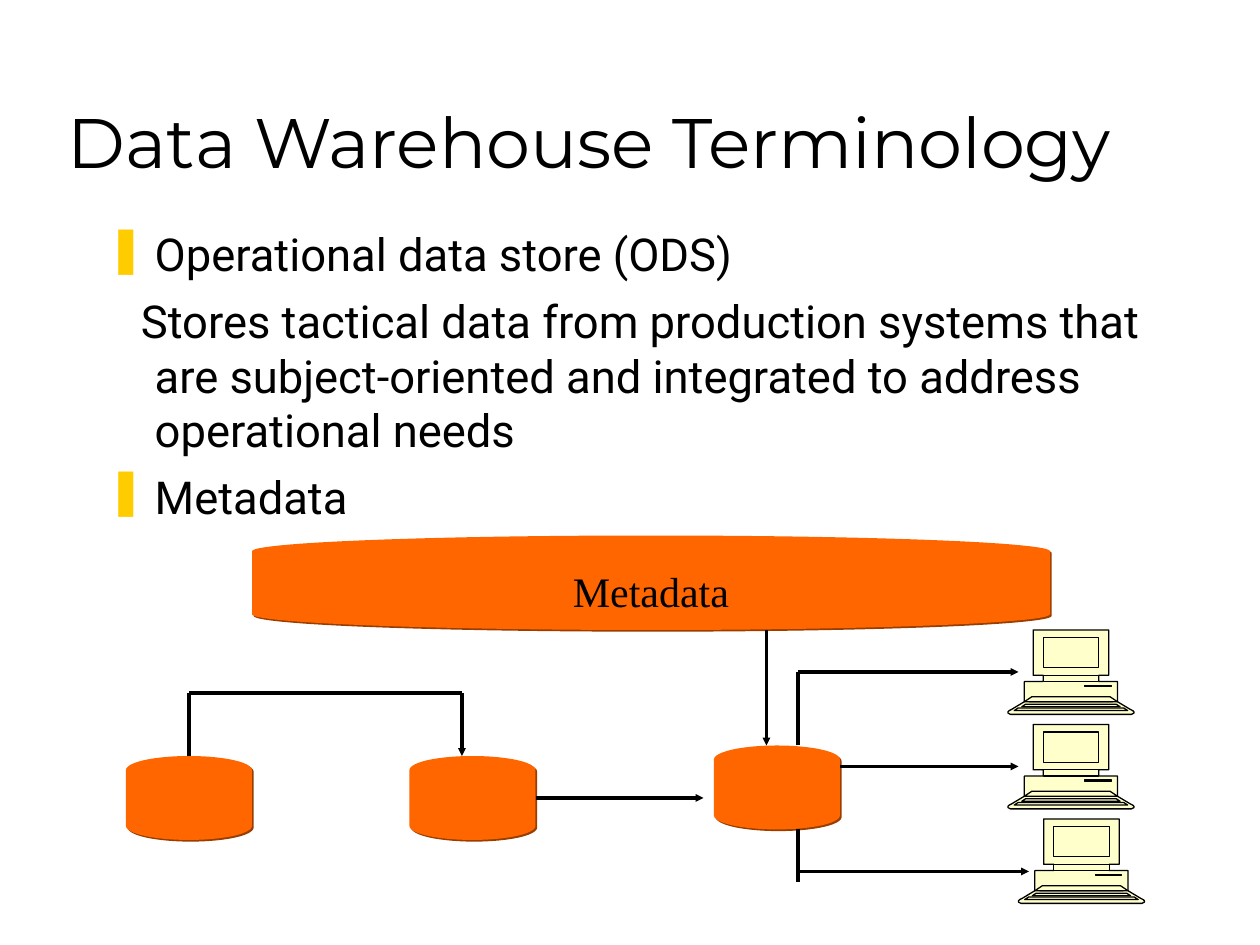
from lxml.etree import SubElement
from pptx import Presentation
from pptx.dml.color import RGBColor
from pptx.enum.shapes import MSO_CONNECTOR as Connector, MSO_SHAPE as Shape
from pptx.enum.text import MSO_ANCHOR as Anchor, MSO_AUTO_SIZE as AutoSize, PP_ALIGN as Align
from pptx.oxml import parse_xml
from pptx.oxml.ns import nsdecls, qn
from pptx.util import Inches, Pt

COLORS = {"ink": "000000", "disk": "FF6600", "disk_shadow": "993D00",
          "bullet": "FFCC00", "computer": "FFFFCC"}
CELL = Inches(1) // 12  # the slide is a grid of 120 columns by 90 rows


def cells(*counts):
    return [round(count * CELL) for count in counts]


def add_text(paragraph, text, font, size):
    run = paragraph.add_run()
    run.text = text
    run.font.name, run.font.size = font, Pt(size)
    run.font.color.rgb = RGBColor.from_string(COLORS["ink"])


deck = Presentation()
deck.slide_width, deck.slide_height = cells(120, 90)
slide = deck.slides.add_slide(deck.slide_layouts[5])
shapes = slide.shapes

# Title
title = shapes.title
title.left, title.top, title.width, title.height = cells(5.25, 3, 102, 15)
title.text_frame.vertical_anchor = Anchor.BOTTOM
title.text_frame.auto_size = AutoSize.NONE
heading = title.text_frame.paragraphs[0]
heading.alignment = Align.LEFT
add_text(heading, "Data Warehouse Terminology", "Montserrat", 40)

# Terms: text, first-line indent in inches, bulleted or not
terms = [
    ("Operational data store (ODS)", -0.38, True),
    ("Stores tactical data from production systems that are subject-oriented "
     "and integrated to address operational needs", -0.11, False),
    ("Metadata", -0.38, True),
]
body = shapes.add_textbox(*cells(9, 21, 102, 31)).text_frame
body.word_wrap = True
for index, (term, indent, bulleted) in enumerate(terms):
    paragraph = body.add_paragraph() if index else body.paragraphs[0]
    paragraph.space_before = Pt(7)
    add_text(paragraph, term, "Roboto", 25.9)
    props = paragraph._p.get_or_add_pPr()
    props.set("marL", str(Inches(0.38)))
    props.set("indent", str(Inches(indent)))
    if bulleted:
        bullet_color = SubElement(props, qn("a:buClr"))
        SubElement(bullet_color, qn("a:srgbClr"), val=COLORS["bullet"])
        SubElement(props, qn("a:buChar"), char="❚")
    else:
        SubElement(props, qn("a:buNone"))

# Data stores: column, row, width, height, label
stores = [(24, 51, 76, 9, "Metadata"), (12, 72, 12, 8, ""),
          (39, 72, 12, 8, ""), (68, 71, 12, 8, "")]
for *box, label in stores:
    disk = shapes.add_shape(Shape.FLOWCHART_MAGNETIC_DISK, *cells(*box))
    disk.fill.solid()
    disk.fill.fore_color.rgb = RGBColor.from_string(COLORS["disk"])
    disk.line.fill.background()
    disk._element.spPr.append(parse_xml(
        f'<a:effectLst {nsdecls("a")}><a:outerShdw dist="{Pt(1.4)}" dir="2700000" algn="ctr" '
        f'rotWithShape="0"><a:srgbClr val="{COLORS["disk_shadow"]}"/></a:outerShdw></a:effectLst>'))
    if label:
        disk.text_frame.word_wrap = False
        disk.text_frame.vertical_anchor = Anchor.MIDDLE
        caption = disk.text_frame.paragraphs[0]
        caption.alignment = Align.CENTER
        add_text(caption, label, "Times New Roman", 24)

# Computers: right halves in hundredths of an inch, mirrored about x = 50
right_halves = [
    [(80, 0), (80, 36), (72, 36), (72, 41), (87, 41), (87, 57), (97, 63),
     (99, 64), (100, 65), (100, 66), (98, 67)],  # case and keyboard
    [(80, 55), (83, 57)], [(86, 59), (89, 61)], [(92, 62), (95, 64)],  # key rows
    [(81, 53), (87, 57)],  # keyboard edge
    [(72, 6), (72, 30)],  # screen
    [(72, 36), (72, 41)],  # neck
]
contours = [half + [(100 - x, y) for x, y in reversed(half)] for half in right_halves]
contours.append([(61, 44), (82, 44), (82, 45), (61, 45)])  # disk drive

for column, row in [(96, 60), (96, 69), (97, 78)]:
    builder = shapes.build_freeform(*contours[0][0], scale=Inches(0.01))
    for number, contour in enumerate(contours):
        if number:
            builder.move_to(*contour[0])
        builder.add_line_segments(contour[1:], close=True)
    computer = builder.convert_to_shape(*cells(column, row))
    computer.shadow.inherit = False
    computer.fill.solid()
    computer.fill.fore_color.rgb = RGBColor.from_string(COLORS["computer"])
    computer.line.color.rgb = RGBColor.from_string(COLORS["ink"])
    computer.line.width = Pt(0.75)
    # One path per contour, so that inner contours are filled too
    outline = computer._element.xpath(".//a:path")[0]
    target = None
    for step in list(outline):
        if step.tag == qn("a:moveTo"):
            target = SubElement(outline.getparent(), qn("a:path"),
                                w=outline.get("w"), h=outline.get("h"))
        target.append(step)
    outline.getparent().remove(outline)

# Data flows: start column and row, end column and row, arrowhead or not
flows = [
    (76, 71, 76, 64, False), (76, 64, 97, 64, True),  # to the top computer
    (80, 73, 97, 73, True),  # to the middle computer
    (76, 79, 76, 84, False), (76, 83, 98, 83, True),  # to the bottom computer
    (51, 76, 67, 76, True),  # second store to third
    (18, 72, 18, 66, False), (18, 66, 44, 66, False), (44, 66, 44, 72, True),
    (73, 60, 73, 71, True),  # metadata to third store
]
for *ends, arrow in flows:
    flow = shapes.add_connector(Connector.STRAIGHT, *cells(*ends))
    flow.line.color.rgb = RGBColor.from_string(COLORS["ink"])
    flow.line.width = Pt(2.25)
    if arrow:
        SubElement(flow.line._get_or_add_ln(), qn("a:tailEnd"), type="triangle", w="sm", len="sm")
    SubElement(flow._element.spPr, qn("a:effectLst"))

deck.save("out.pptx")
